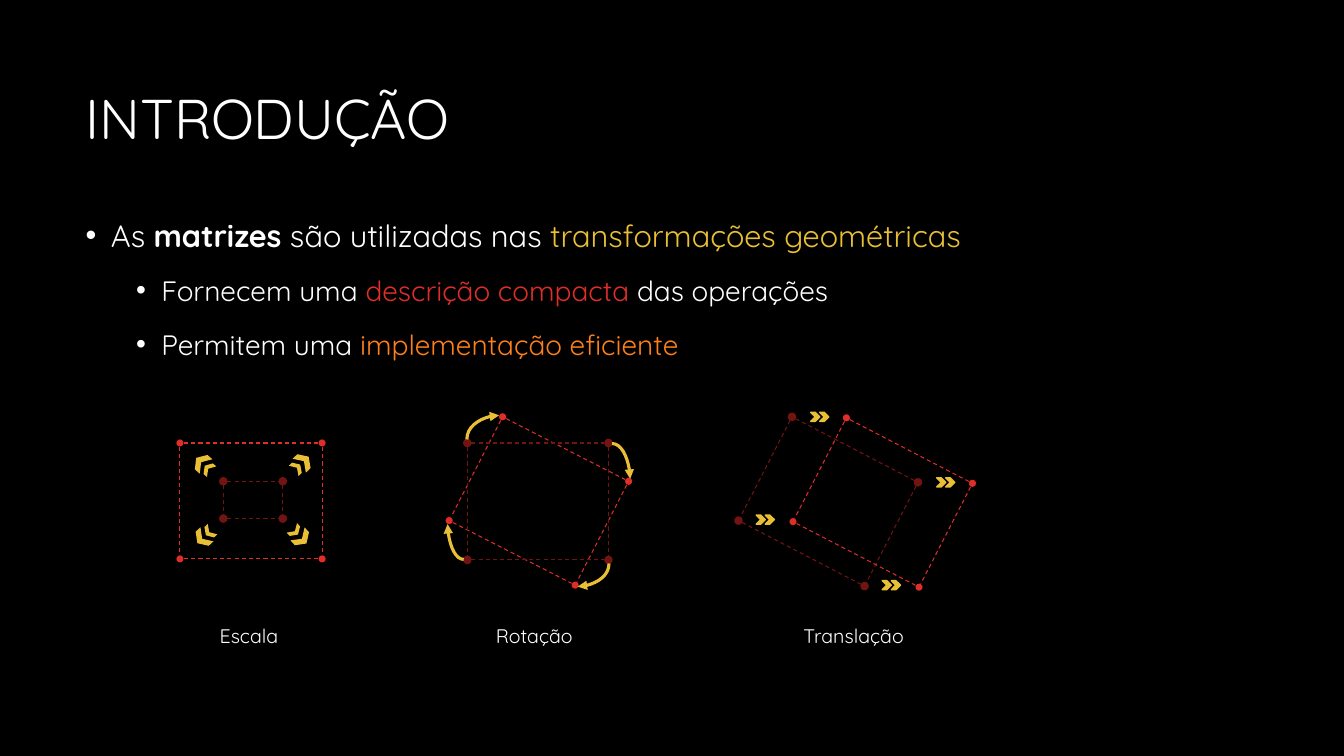
from math import hypot

from lxml import etree
from pptx import Presentation
from pptx.dml.color import RGBColor
from pptx.enum.dml import MSO_LINE
from pptx.enum.shapes import MSO_CONNECTOR, MSO_SHAPE
from pptx.enum.text import MSO_ANCHOR, MSO_AUTO_SIZE, PP_ALIGN
from pptx.oxml.ns import qn
from pptx.util import Pt

PX = 9144
FONT = "Quicksand"
WHITE, YELLOW, RED, DARK_RED, ORANGE = "FFFFFF", "E9BF35", "DF2E28", "721411", "FE801A"
DOT = 7
TRIM = 4
TILT = 27.2
STRAIGHT, CURVE = MSO_CONNECTOR.STRAIGHT, MSO_CONNECTOR.CURVE
OVAL, CHEVRON = MSO_SHAPE.OVAL, MSO_SHAPE.CHEVRON
DASH = MSO_LINE.DASH
LEFT, MIDDLE, TOP = PP_ALIGN.LEFT, MSO_ANCHOR.MIDDLE, MSO_ANCHOR.TOP
FIT_SHAPE, NO_FIT = MSO_AUTO_SIZE.SHAPE_TO_FIT_TEXT, MSO_AUTO_SIZE.NONE

TOPICS = [
    (0, 22, 10, [("As ", WHITE), ("matrizes", WHITE), (" são utilizadas nas ", WHITE),
                 ("transformações geométricas", YELLOW)]),
    (1, 20, 12, [("Fornecem uma ", WHITE), ("descrição compacta", RED),
                 (" das operações", WHITE)]),
    (1, 20, 12, [("Permitem uma ", WHITE), ("implementação eficiente", ORANGE)]),
]


def px(*lengths):
    """Turn px lengths into EMU."""
    return [round(length * PX) for length in lengths]


def rgb(code):
    """Turn a hex string into a colour."""
    return RGBColor.from_string(code)


def style_run(run, size, color, bold=False):
    """Format one run of text."""
    run.font.name = FONT
    run.font.size = Pt(size)
    run.font.bold = bold
    run.font.color.rgb = rgb(color)


def place(shape, left, top, width, height):
    """Move and size a placeholder."""
    shape.left, shape.top, shape.width, shape.height = px(left, top, width, height)


def fill_title(title, heading):
    """Place and format the slide title."""
    place(title, 75, 50, 1183, 141)
    frame = title.text_frame
    frame.text = heading
    frame.vertical_anchor = MIDDLE
    frame.auto_size = NO_FIT
    paragraph = frame.paragraphs[0]
    paragraph.alignment = LEFT
    paragraph.line_spacing = 0.9
    style_run(paragraph.runs[0], 40, WHITE)


def fill_topics(body):
    """Write the bulleted list with its highlighted words."""
    place(body, 75, 206, 1183, 469)
    frame = body.text_frame
    frame.vertical_anchor = TOP
    frame.auto_size = NO_FIT
    for index, (level, size, before, pieces) in enumerate(TOPICS):
        paragraph = frame.add_paragraph() if index else frame.paragraphs[0]
        paragraph.level = level
        paragraph.line_spacing = 1.1
        paragraph.space_before = Pt(before)
        properties = paragraph._p.get_or_add_pPr()
        margin, hanging = px(25 + 50 * level, -25)
        properties.set("marL", str(margin))
        properties.set("indent", str(hanging))
        etree.SubElement(properties, qn("a:buChar")).set("char", "•")
        for words, color in pieces:
            run = paragraph.add_run()
            run.text = words
            style_run(run, size, color, words == "matrizes")


def add_caption(slide, left, width, words):
    """Write the name of a transformation under its diagram."""
    caption = slide.shapes.add_textbox(*px(left, 614, width, 34))
    frame = caption.text_frame
    frame.text = words
    frame.word_wrap = False
    frame.auto_size = FIT_SHAPE
    style_run(frame.paragraphs[0].runs[0], 14, WHITE)


def add_mark(group, kind, box, color, angle=0, outlined=False):
    """Draw a filled dot or chevron."""
    mark = group.shapes.add_shape(kind, *px(*box))
    mark.shadow.inherit = False
    mark.rotation = angle
    mark.fill.solid()
    mark.fill.fore_color.rgb = rgb(color)
    if outlined:
        mark.line.color.rgb = rgb(color)
        mark.line.width = Pt(1)
    else:
        mark.line.fill.background()


def add_line(group, kind, start, end, color, weight):
    """Draw a connector without shadow."""
    line = group.shapes.add_connector(kind, *px(*start, *end))
    line.line.color.rgb = rgb(color)
    line.line.width = Pt(weight)
    etree.SubElement(line._element.spPr, qn("a:effectLst"))
    return line


def add_edge(group, start, end, color):
    """Join two dot centres by a dashed line that stops at the dots."""
    dx, dy = end[0] - start[0], end[1] - start[1]
    step = TRIM / hypot(dx, dy)
    edge = add_line(group, STRAIGHT, (start[0] + dx * step, start[1] + dy * step),
                    (end[0] - dx * step, end[1] - dy * step), color, 0.75)
    edge.line.dash_style = DASH


def add_quad(group, corner, across, down, color, angle=0):
    """Draw a parallelogram of dashed edges with dots at its corners."""
    dots = [(corner[0] + i * across[0] + j * down[0], corner[1] + i * across[1] + j * down[1])
            for j in (0, 1) for i in (0, 1)]
    centres = [(x + DOT / 2, y + DOT / 2) for x, y in dots]
    for first, last in ((0, 2), (1, 3), (0, 1), (2, 3)):
        add_edge(group, centres[first], centres[last], color)
    for x, y in dots:
        add_mark(group, OVAL, (x, y, DOT, DOT), color, angle, color == DARK_RED)


def add_turn(group, start, end, upright):
    """Draw a quarter-turn arrow, leaving vertically when upright."""
    if upright:
        middle_x, middle_y = (start[0] + end[0]) / 2, (start[1] + end[1]) / 2
        half_x, half_y = (end[1] - start[1]) / 2, (start[0] - end[0]) / 2
        start = middle_x - half_x, middle_y - half_y
        end = middle_x + half_x, middle_y + half_y
    turn = add_line(group, CURVE, start, end, YELLOW, 2.25)
    properties = turn._element.spPr
    properties.find(qn("a:prstGeom")).set("prst", "curvedConnector2")
    if upright:
        properties.find(qn("a:xfrm")).set("rot", "5400000")
    etree.SubElement(properties.find(qn("a:ln")), qn("a:tailEnd")).set("type", "triangle")


def draw_scaling(slide):
    """Draw a small rectangle growing into a larger one."""
    group = slide.shapes.add_group_shape()
    add_quad(group, (218, 474), (59, 0), (0, 37), DARK_RED)
    add_quad(group, (175, 436), (141, 0), (0, 115), RED)
    for outer, inner, angle in (((193, 449), (202, 458), 221.2), ((295, 448), (290, 457), 316.4),
                                ((194, 525), (203, 521), 137.3), ((293, 525), (288, 520), 47.4)):
        add_mark(group, CHEVRON, (*outer, 13, 19), YELLOW, angle)
        add_mark(group, CHEVRON, (*inner, 9, 14), YELLOW, angle)


def draw_rotation(slide):
    """Draw a rectangle turning clockwise."""
    group = slide.shapes.add_group_shape()
    add_quad(group, (495, 410), (125, 64), (-53, 103), RED, TILT)
    add_quad(group, (460, 436), (140, 0), (0, 116), DARK_RED)
    for start, end, upright in (((463, 436), (495, 412), True), ((607, 440), (625, 475), False),
                                ((604, 559), (573, 582), True), ((460, 555), (444, 520), False)):
        add_turn(group, start, end, upright)


def draw_translation(slide):
    """Draw a tilted rectangle sliding to the right."""
    group = slide.shapes.add_group_shape()
    for corner, color in (((782, 410), DARK_RED), ((836, 411), RED)):
        add_quad(group, corner, (125, 65), (-53, 103), color, TILT)
    for left, top in ((875, 576), (750, 511), (804, 409), (929, 474)):
        for shift in (9, 0):
            add_mark(group, CHEVRON, (left + shift, top, 9, 9), YELLOW, outlined=True)


def main():
    """Build the slide and save it."""
    deck = Presentation()
    deck.slide_width, deck.slide_height = px(1333, 750)
    slide = deck.slides.add_slide(deck.slide_layouts[1])
    slide.background.fill.solid()
    slide.background.fill.fore_color.rgb = rgb("000000")
    fill_title(slide.shapes.title, "INTRODUÇÃO")
    fill_topics(slide.placeholders[1])
    draw_scaling(slide)
    draw_rotation(slide)
    draw_translation(slide)
    for left, width, words in ((208, 82, "Escala"), (482, 104, "Rotação"),
                               (787, 124, "Translação")):
        add_caption(slide, left, width, words)
    deck.save("out.pptx")


if __name__ == "__main__":
    main()
